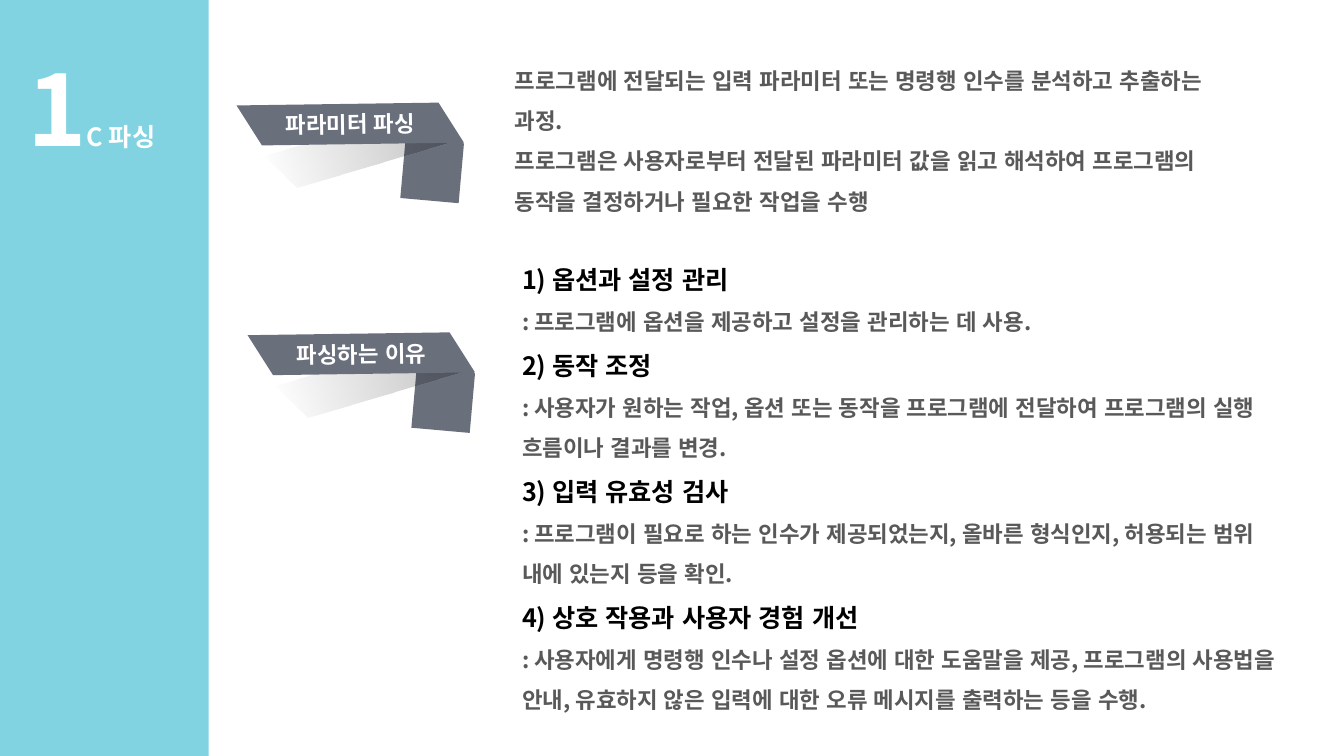
import pptx
import pptx.dml.color
import pptx.enum.lang
import pptx.enum.shapes
import pptx.enum.text
import pptx.oxml
import pptx.oxml.ns
import pptx.util

Pt = pptx.util.Pt
qn = pptx.oxml.ns.qn
SHAPES = pptx.enum.shapes.MSO_SHAPE
ANCHOR = pptx.enum.text.MSO_ANCHOR
FONT = "Noto Sans CJK KR"
COLORS = {
    "sidebar": "81D3E1",
    "ribbon": "6A6F7C",
    "shade": "000000",
    "heading": "000000",
    "body": "595959",
    "white": "FFFFFF",
}
DEFINITION = [
    "프로그램에 전달되는 입력 파라미터 또는 명령행 인수를 분석하고 추출하는 과정.",
    "프로그램은 사용자로부터 전달된 파라미터 값을 읽고 해석하여 프로그램의 동작을 결정하거나 필요한 작업을 수행",
]
REASONS = [
    ("옵션과 설정 관리", "프로그램에 옵션을 제공하고 설정을 관리하는 데 사용."),
    ("동작 조정", "사용자가 원하는 작업, 옵션 또는 동작을 프로그램에 전달하여 프로그램의 실행 흐름이나 결과를 변경."),
    ("입력 유효성 검사", "프로그램이 필요로 하는 인수가 제공되었는지, 올바른 형식인지, 허용되는 범위 내에 있는지 등을 확인."),
    ("상호 작용과 사용자 경험 개선", "사용자에게 명령행 인수나 설정 옵션에 대한 도움말을 제공, 프로그램의 사용법을 안내, "
     "유효하지 않은 입력에 대한 오류 메시지를 출력하는 등을 수행."),
]


def rgb(name):
    """Return the named colour."""
    return pptx.dml.color.RGBColor.from_string(COLORS[name])


def style_font(font, size, color):
    """Set a bold Korean font with the given size and colour."""
    font.size, font.bold, font.name = Pt(size), True, FONT
    font.color.rgb = rgb(color)
    font.language_id = pptx.enum.lang.MSO_LANGUAGE_ID.KOREAN


def style_paragraph(paragraph, size, color):
    """Style a paragraph, including its East Asian typeface."""
    style_font(paragraph.font, size, color)
    for latin in list(paragraph._p.iter(qn("a:latin"))):
        east_asian = pptx.oxml.parse_xml(
            f'<a:ea {pptx.oxml.ns.nsdecls("a")} typeface="{FONT}"/>')
        latin.addnext(east_asian)


def add_shape(shapes, kind, box, color, rotation=0, adjustment=None, flip=False):
    """Add a borderless filled preset shape."""
    shape = shapes.add_shape(kind, *map(Pt, box))
    shape.shadow.inherit = False
    shape.fill.solid()
    shape.fill.fore_color.rgb = rgb(color)
    shape.line.fill.background()
    shape.rotation = rotation
    if adjustment is not None:
        shape.adjustments[0] = adjustment
    if flip:
        shape.element.spPr.find(qn("a:xfrm")).set("flipH", "1")
    return shape


def fade(shape, color, opacities):
    """Fill a shape with one colour that changes in opacity."""
    shape.fill.gradient()
    shape.fill.gradient_angle = 0
    for stop, opacity in zip(shape.fill.gradient_stops, opacities):
        stop.color.rgb = rgb(color)
    for node, opacity in zip(shape.element.spPr.iter(qn("a:srgbClr")), opacities):
        alpha = node.makeelement(qn("a:alpha"), {"val": str(opacity * 1000)})
        node.append(alpha)


def add_sidebar(slide, left, top, width, height):
    """Add the coloured sidebar with the section number and title."""
    add_shape(slide.shapes, SHAPES.RECTANGLE, (left, top, width, height), "sidebar")
    title = slide.shapes.add_textbox(Pt(left + 19.4), Pt(top + 32.4), Pt(96.5), Pt(86.4))
    frame = title.text_frame
    frame.word_wrap = False
    frame.auto_size = pptx.enum.text.MSO_AUTO_SIZE.SHAPE_TO_FIT_TEXT
    frame.margin_left = frame.margin_top = frame.margin_right = frame.margin_bottom = 0
    paragraph = frame.paragraphs[0]
    for text, size in (("1", 72), ("C 파싱", 18)):
        run = paragraph.add_run()
        run.text = text
        run.font.size = Pt(size)
    style_paragraph(paragraph, 18, "white")


def add_ribbon(slide, left, top, width, height, label):
    """Add a folded ribbon with a label."""
    shapes = slide.shapes.add_group_shape().shapes
    add_shape(shapes, SHAPES.SNIP_1_RECTANGLE,
              (left + width - 42.5, top + 5.8, 41.8, 63.4), "ribbon", 5.1, 0.5)
    shade = add_shape(shapes, SHAPES.PARALLELOGRAM,
                      (left + 20.9, top + 18, 129.6, height), "shade", 343.6, 0.56, True)
    fade(shade, "shade", (25, 0))
    band = add_shape(shapes, SHAPES.PARALLELOGRAM,
                     (left, top, width, height), "ribbon", 359.2, 0.617, True)
    frame = band.text_frame
    frame.vertical_anchor = ANCHOR.MIDDLE
    paragraph = frame.paragraphs[0]
    paragraph.text = label
    paragraph.alignment = pptx.enum.text.PP_ALIGN.CENTER
    style_paragraph(paragraph, 16, "white")


def add_text(slide, left, top, width, height, lines):
    """Add widely spaced paragraphs from (text, size, colour) lines."""
    frame = slide.shapes.add_textbox(Pt(left), Pt(top), Pt(width), Pt(height)).text_frame
    frame.word_wrap = True
    frame.vertical_anchor = ANCHOR.MIDDLE
    for index, (text, size, color) in enumerate(lines):
        paragraph = frame.add_paragraph() if index else frame.paragraphs[0]
        paragraph.text = text
        paragraph.line_spacing = 1.5
        style_paragraph(paragraph, size, color)


def main():
    """Build and save the presentation."""
    presentation = pptx.Presentation()
    presentation.slide_width, presentation.slide_height = Pt(960), Pt(540)
    slide = presentation.slides.add_slide(presentation.slide_layouts[6])
    add_sidebar(slide, 0, 0, 149, 540)
    add_ribbon(slide, 169.2, 74.2, 162, 28.8, "파라미터 파싱")
    add_text(slide, 360.7, 33.1, 532, 125.3, [(text, 16, "body") for text in DEFINITION])
    add_ribbon(slide, 177.1, 238.3, 162, 28.8, "파싱하는 이유")
    reasons = []
    for number, (heading, detail) in enumerate(REASONS, 1):
        reasons += [(f"{number}) {heading}", 18, "heading"), (f": {detail}", 16, "body")]
    add_text(slide, 365.8, 210.2, 567.4, 267.1, reasons)
    presentation.save("out.pptx")


if __name__ == "__main__":
    main()
